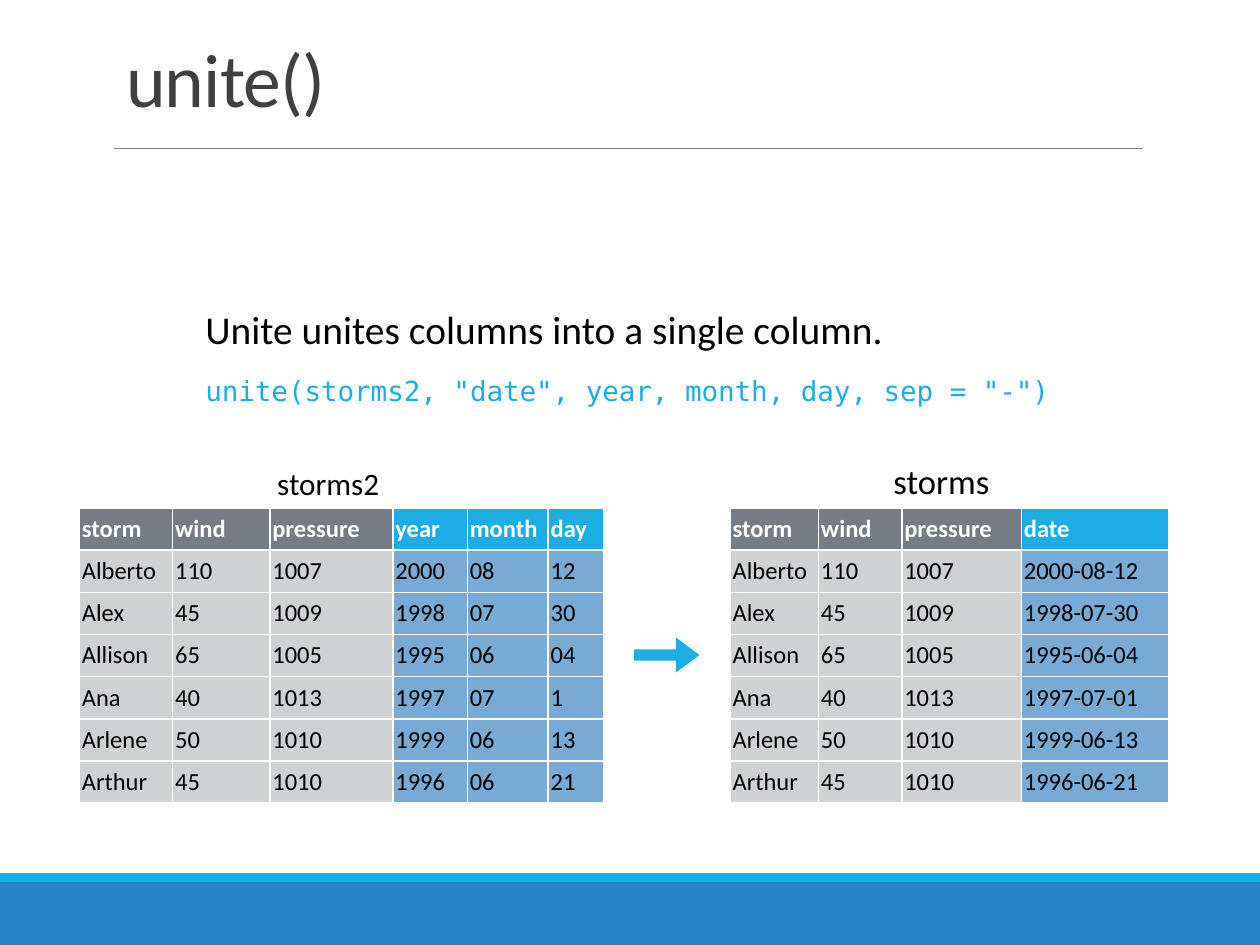
import pptx
import pptx.dml.color
import pptx.enum.shapes
import pptx.enum.text
import pptx.oxml
import pptx.oxml.ns
import pptx.util
from pptx.util import Cm

TITLE = "unite()"
STATEMENT = "Unite unites columns into a single column."
CODE = 'unite(storms2, "date", year, month, day, sep = "-")'
STORMS2 = [
    ("storm", "wind", "pressure", "year", "month", "day"),
    ("Alberto", "110", "1007", "2000", "08", "12"),
    ("Alex", "45", "1009", "1998", "07", "30"),
    ("Allison", "65", "1005", "1995", "06", "04"),
    ("Ana", "40", "1013", "1997", "07", "1"),
    ("Arlene", "50", "1010", "1999", "06", "13"),
    ("Arthur", "45", "1010", "1996", "06", "21"),
]
KEPT_COLUMNS = 3  # storm, wind and pressure stay as they are
STORMS = [STORMS2[0][:KEPT_COLUMNS] + ("date",)] + [
    row[:KEPT_COLUMNS] + ("-".join(part.zfill(2) for part in row[KEPT_COLUMNS:]),)
    for row in STORMS2[1:]
]

# Tables: rows, left edge and column widths in cm
TABLES = [
    (STORMS2, 1.6, (1.88, 1.96, 2.48, 1.5, 1.63, 1.12)),
    (STORMS, 14.72, (1.78, 1.68, 2.41, 2.97)),
]
TABLE_TOP, ROW_HEIGHT = 10.24, 0.85

THEME = {
    "accent": "1CADE4", "footer": "2683C6", "rule": "808080", "white": "FFFFFF",
    "heading": "404040", "text": "000000",
    "kept_header": "767C85", "kept_body": "D0D1D2", "united_body": "78AAD6",
    "sans": "Calibri", "mono": "DejaVu Sans Mono",
    "title_size": 43.2, "statement_size": 22.5, "code_size": 15.75,
    "storms2_size": 17.8, "storms_size": 19.8, "cell_size": 14,
}

# Text boxes: text, position in cm, margin in cm, font, size, colour, spacing, anchor
TOP, MIDDLE = pptx.enum.text.MSO_ANCHOR.TOP, pptx.enum.text.MSO_ANCHOR.MIDDLE
TEXTS = [
    (STATEMENT, (4.09, 6.36, 20.47, 1.55), 0.05, "sans", "statement_size", "text", 0.7, TOP),
    (CODE, (4.09, 7.67, 18, 0.97), 0.05, "mono", "code_size", "accent", 0.7, TOP),
    ("storms2", (5.51, 9.27, 2.44, 0.94), 0.08, "sans", "storms2_size", "text", 1.0, MIDDLE),
    ("storms", (17.93, 9.27, 2.44, 0.94), 0.08, "sans", "storms_size", "text", 0.9, MIDDLE),
]


def rgb(name):
    return pptx.dml.color.RGBColor.from_string(THEME[name])


def apply_format(target, values):
    for name, value in values.items():
        setattr(target, name, value)


def format_font(font, family, size, color, bold=False):
    apply_format(font, {"name": THEME[family], "size": pptx.util.Pt(THEME[size]), "bold": bold})
    font.color.rgb = rgb(color)


def margins(size):
    return {f"margin_{side}": Cm(size) for side in ("left", "right", "top", "bottom")}


def add_filled_shape(slide, kind, box, color):
    shape = slide.shapes.add_shape(kind, *map(Cm, box))
    shape.shadow.inherit = False
    shape.fill.solid()
    shape.fill.fore_color.rgb = rgb(color)
    shape.line.fill.background()
    return shape


def add_rule(slide, left, right, top):
    rule = slide.shapes.add_connector(
        pptx.enum.shapes.MSO_CONNECTOR.STRAIGHT, Cm(left), Cm(top), Cm(right), Cm(top))
    rule.line.color.rgb = rgb("rule")
    rule.line.width = pptx.util.Pt(0.5)
    properties = rule._element.spPr
    properties.append(properties.makeelement(pptx.oxml.ns.qn("a:effectLst"), {}))


def add_title(slide):
    title = slide.shapes.title
    apply_format(title, {"left": Cm(2.29), "top": Cm(0.78), "width": Cm(20.96), "height": Cm(1.83)})
    frame = title.text_frame
    frame.text = TITLE
    apply_format(frame, {"auto_size": pptx.enum.text.MSO_AUTO_SIZE.NONE,
                         "vertical_anchor": pptx.enum.text.MSO_ANCHOR.BOTTOM})
    paragraph = frame.paragraphs[0]
    apply_format(paragraph, {"alignment": pptx.enum.text.PP_ALIGN.LEFT, "line_spacing": 0.85})
    run = paragraph.runs[0]
    format_font(run.font, "sans", "title_size", "heading")
    run._r.get_or_add_rPr().set("spc", "-50")


def add_text(slide, text, box, margin, family, size, color, spacing, anchor):
    frame = slide.shapes.add_textbox(*map(Cm, box)).text_frame
    apply_format(frame, {"word_wrap": True, "vertical_anchor": anchor, **margins(margin)})
    frame.text = text
    paragraph = frame.paragraphs[0]
    paragraph.line_spacing = spacing
    format_font(paragraph.runs[0].font, family, size, color)


def add_borders(cell):
    properties = cell._tc.get_or_add_tcPr()
    for index, side in enumerate(("lnL", "lnR", "lnT", "lnB")):
        properties.insert(index, pptx.oxml.parse_xml(
            f'<a:{side} {pptx.oxml.ns.nsdecls("a")} w="12700"><a:solidFill>'
            f'<a:srgbClr val="{THEME["white"]}"/></a:solidFill></a:{side}>'))


def add_storm_table(slide, rows, left, widths):
    table = slide.shapes.add_table(
        len(rows), len(widths), Cm(left), Cm(TABLE_TOP),
        Cm(sum(widths)), Cm(ROW_HEIGHT * len(rows))).table
    for column, width in zip(table.columns, widths):
        column.width = Cm(width)
    for row_index, row in enumerate(rows):
        table.rows[row_index].height = Cm(ROW_HEIGHT)
        header = row_index == 0
        for column_index, text in enumerate(row):
            cell = table.cell(row_index, column_index)
            if column_index < KEPT_COLUMNS:
                fill = "kept_header" if header else "kept_body"
            else:
                fill = "accent" if header else "united_body"
            cell.fill.solid()
            cell.fill.fore_color.rgb = rgb(fill)
            add_borders(cell)
            apply_format(cell, {"text": text, "vertical_anchor": MIDDLE, **margins(0.05)})
            paragraph = cell.text_frame.paragraphs[0]
            paragraph.alignment = pptx.enum.text.PP_ALIGN.LEFT
            format_font(paragraph.runs[0].font, "sans", "cell_size",
                        "white" if header else "text", bold=header)


def main():
    presentation = pptx.Presentation()
    apply_format(presentation, {"slide_width": Cm(25.4), "slide_height": Cm(19.05)})
    slide = presentation.slides.add_slide(presentation.slide_layouts.get_by_name("Title Only"))
    shapes = pptx.enum.shapes.MSO_SHAPE

    add_filled_shape(slide, shapes.RECTANGLE, (0, 17.78, 25.4, 1.27), "footer")
    add_filled_shape(slide, shapes.RECTANGLE, (0, 17.6, 25.4, 0.18), "accent")
    add_rule(slide, 2.29, 23.04, 2.99)
    add_title(slide)
    for table in TABLES:
        add_storm_table(slide, *table)
    for text in TEXTS:
        add_text(slide, *text)
    arrow = add_filled_shape(slide, shapes.RIGHT_ARROW, (12.78, 12.85, 1.32, 0.71), "accent")
    arrow.adjustments[0], arrow.adjustments[1] = 0.32, 0.67

    presentation.save("out.pptx")


if __name__ == "__main__":
    main()
